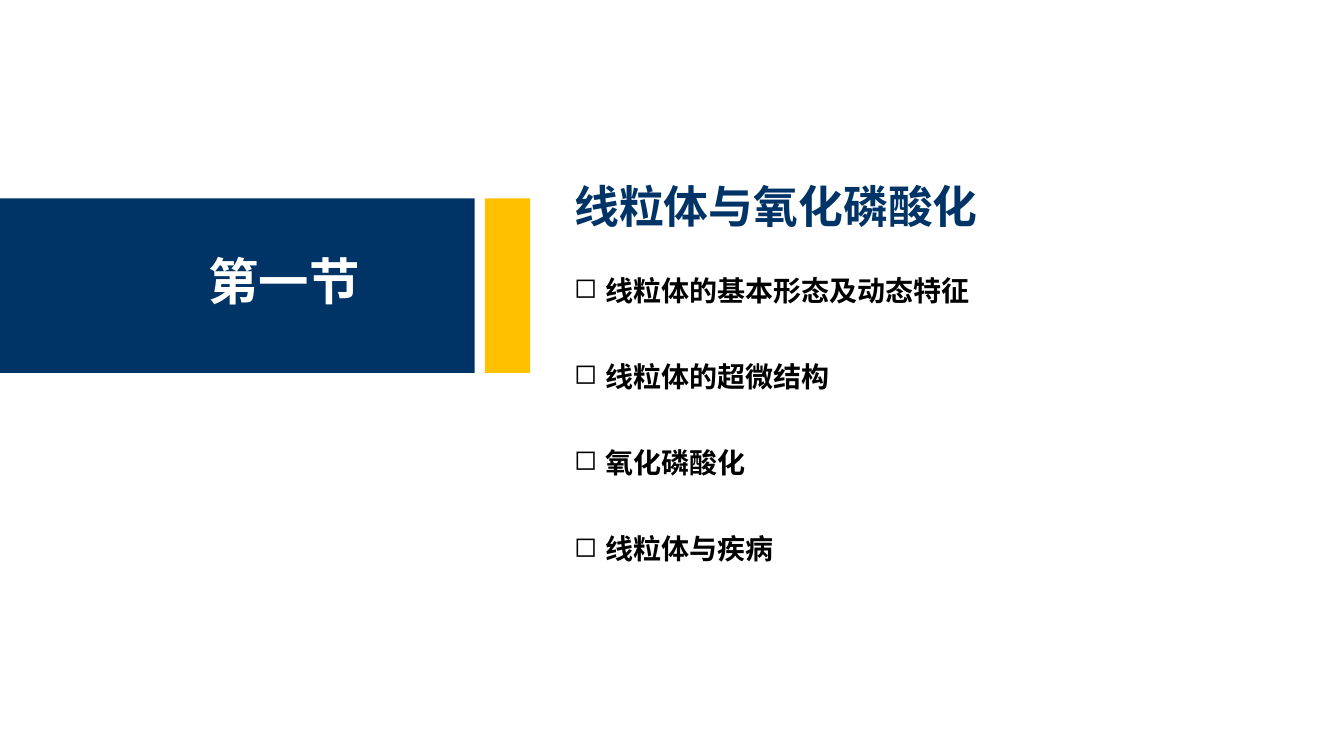
from dataclasses import dataclass

from pptx import Presentation, util as u
from pptx.dml.color import RGBColor
from pptx.enum import shapes, text
from pptx.oxml.ns import qn


@dataclass(frozen=True)
class Theme:
    font: str = "Noto Sans CJK SC"
    navy: str = "003366"
    gold: str = "FFC000"
    white: str = "FFFFFF"
    black: str = "000000"
    head: int = 32
    label: int = 36
    body: int = 20


class Page:
    def __init__(self, deck, theme):
        self.theme = theme
        self.slide = deck.slides.add_slide(deck.slide_layouts[5])

    def fill(self, frame, words, size, color, wrap):
        """Fill a text frame with one bold, left-aligned run."""
        frame.word_wrap = wrap
        frame.auto_size = text.MSO_AUTO_SIZE.SHAPE_TO_FIT_TEXT
        frame.vertical_anchor = text.MSO_ANCHOR.TOP
        para = frame.paragraphs[0]
        para.alignment = text.PP_ALIGN.LEFT
        run = para.add_run()
        run.text = words
        font = run.font
        font.name, font.size, font.bold = self.theme.font, u.Pt(size), True
        font.color.rgb = RGBColor.from_string(color)
        props = run._r.get_or_add_rPr()
        asian = props.makeelement(qn("a:ea"), {"typeface": self.theme.font})
        props.find(qn("a:latin")).addnext(asian)
        return para

    def title(self, words, *box):
        shape = self.slide.shapes.title
        shape.left, shape.top, shape.width, shape.height = map(u.Cm, box)
        self.fill(shape.text_frame, words, self.theme.head,
                  self.theme.navy, True)

    def block(self, color, *box):
        shape = self.slide.shapes.add_shape(
            shapes.MSO_SHAPE.RECTANGLE, *map(u.Cm, box))
        shape.shadow.inherit = False
        shape.fill.solid()
        shape.fill.fore_color.rgb = RGBColor.from_string(color)
        shape.line.fill.background()

    def label(self, words, size, color, *box):
        shape = self.slide.shapes.add_textbox(*map(u.Cm, box))
        return self.fill(shape.text_frame, words, size, color, False)

    def bullet(self, words, *box):
        para = self.label(words, self.theme.body, self.theme.black, *box)
        props = para._p.get_or_add_pPr()
        indent = u.Cm(0.79)
        props.set("marL", str(indent))
        props.set("indent", str(-indent))
        mark = props.makeelement(qn("a:buChar"), {"char": "◻"})
        props.append(mark)


TOPICS = ["线粒体的基本形态及动态特征", "线粒体的超微结构",
          "氧化磷酸化", "线粒体与疾病"]


def main():
    deck = Presentation()
    deck.slide_width, deck.slide_height = u.Cm(33.87), u.Cm(19.05)
    theme = Theme()
    page = Page(deck, theme)
    top, high, left = 5, 4.4, 14.22

    page.block(theme.navy, 0, top, 11.96, high)
    page.block(theme.gold, 12.22, top, 1.14, high)
    page.label("第一节", theme.label, theme.white, 5, 6.17, 4.37, 1.8)
    page.title("线粒体与氧化磷酸化", left, 4.37, 14.22, 1.63)

    pitch, glyph, margin = 2.17, 0.71, 1.34
    for row, topic in enumerate(TOPICS):
        page.bullet(topic, left, 6.76 + row * pitch,
                    margin + glyph * len(topic), 1.12)

    deck.save("out.pptx")


if __name__ == "__main__":
    main()
